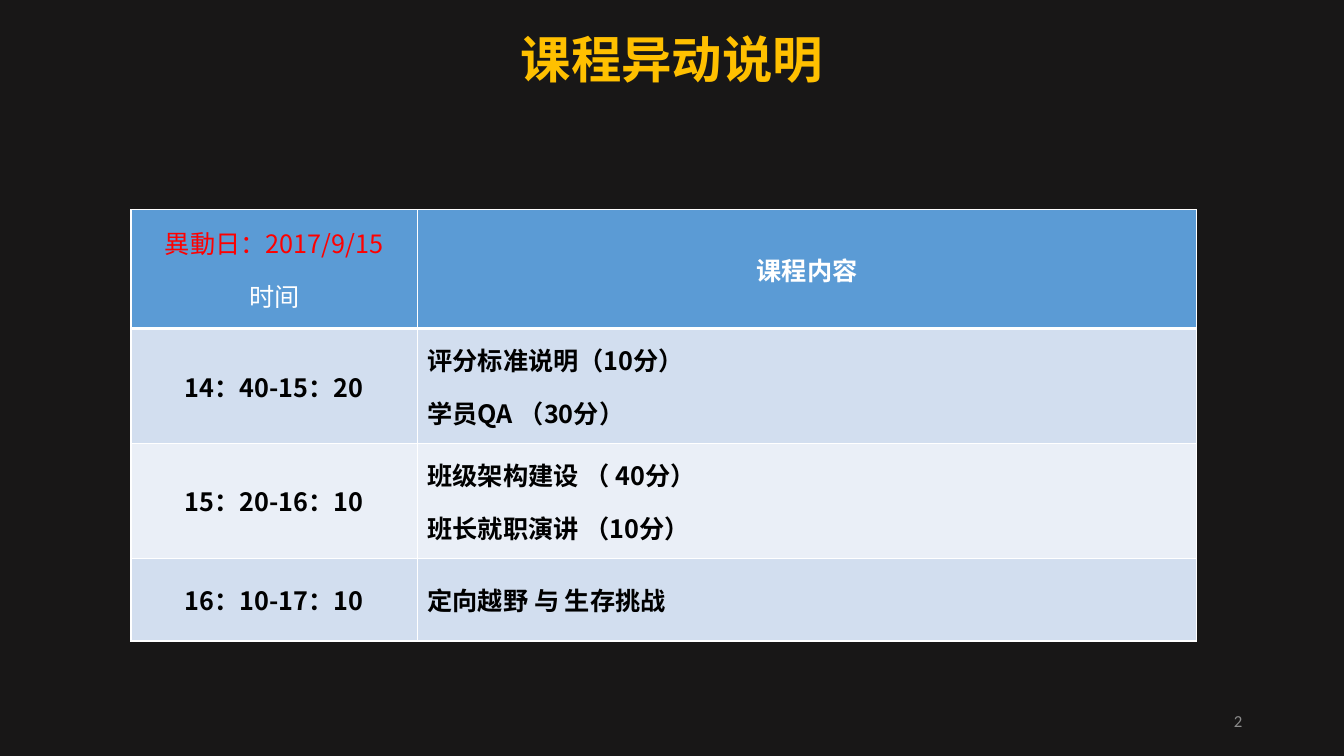
from dataclasses import dataclass
from lxml.etree import SubElement
from pptx import Presentation
from pptx.dml.color import RGBColor
from pptx.enum.text import MSO_ANCHOR as Anchor, PP_ALIGN as Align
from pptx.oxml.ns import qn
from pptx.util import Inches, Pt


@dataclass(frozen=True)
class Theme:
    background: str = "181717"
    gold: str = "FFC000"
    red: str = "FF0000"
    white: str = "FFFFFF"
    black: str = "000000"
    gray: str = "8C8C8C"
    header: str = "5B9BD5"
    bands: tuple = ("D2DEEF", "EAEFF7")
    font: str = "Noto Sans CJK SC"
    number_font: str = "Calibri"
    title_size: int = 36
    table_size: int = 18
    number_size: int = 12


theme = Theme()


def add_run(paragraph, text, size, color, bold, font=theme.font):
    run = paragraph.add_run()
    run.text = text
    run.font.size = Pt(size)
    run.font.bold = bold
    run.font.color.rgb = RGBColor.from_string(color)
    run.font.name = font
    SubElement(run.font._element, qn("a:ea"), typeface=font)


def add_border(cell, side, width):
    line = SubElement(cell._tc.get_or_add_tcPr(), qn(f"a:ln{side}"), w=str(Pt(width)))
    SubElement(SubElement(line, qn("a:solidFill")), qn("a:srgbClr"), val=theme.white)


presentation = Presentation()
presentation.slide_width = Inches(13.33)
presentation.slide_height = Inches(7.5)
slide = presentation.slides.add_slide(presentation.slide_layouts[6])
slide.background.fill.solid()
slide.background.fill.fore_color.rgb = RGBColor.from_string(theme.background)

labels = [
    ("2", (9.42, 6.95, 3, 0.4), Align.RIGHT, theme.number_size, theme.gray, False, theme.number_font),
    ("课程异动说明", (0, 0.22, 13.33, 0.71), Align.CENTER, theme.title_size, theme.gold, True, theme.font),
]
for text, box, alignment, size, color, bold, font in labels:
    shape = slide.shapes.add_textbox(*map(Inches, box))
    shape.text_frame.word_wrap = True
    shape.text_frame.vertical_anchor = Anchor.MIDDLE
    paragraph = shape.text_frame.paragraphs[0]
    paragraph.alignment = alignment
    add_run(paragraph, text, size, color, bold, font)

schedule = [
    (["異動日：2017/9/15", "时间"], ["课程内容"]),
    (["14：40-15：20"], ["评分标准说明（10分）", "学员QA （30分）"]),
    (["15：20-16：10"], ["班级架构建设 （ 40分）", "班长就职演讲 （10分）"]),
    (["16：10-17：10"], ["定向越野 与 生存挑战"]),
]
column_widths = [2.84, 7.73]
row_heights = [1.18, 1.14, 1.14, 0.82]
table = slide.shapes.add_table(
    len(row_heights), len(column_widths), Inches(1.3), Inches(2.08),
    Inches(sum(column_widths)), Inches(sum(row_heights)),
).table
for column, width in zip(table.columns, column_widths):
    column.width = Inches(width)
for row, height in zip(table.rows, row_heights):
    row.height = Inches(height)

for row_index, entries in enumerate(schedule):
    is_header = row_index == 0
    for column_index, lines in enumerate(entries):
        cell = table.cell(row_index, column_index)
        cell.vertical_anchor = Anchor.MIDDLE
        for side in "LRTB":
            under_header = (row_index, side) in [(0, "B"), (1, "T")]
            add_border(cell, side, 3 if under_header else 1)
        cell.fill.solid()
        fill = theme.header if is_header else theme.bands[(row_index - 1) % 2]
        cell.fill.fore_color.rgb = RGBColor.from_string(fill)
        for line_index, text in enumerate(lines):
            frame = cell.text_frame
            paragraph = frame.add_paragraph() if line_index else frame.paragraphs[0]
            paragraph.alignment = Align.CENTER if is_header or column_index == 0 else Align.LEFT
            paragraph.space_before = paragraph.space_after = Pt(6)
            color = theme.white if is_header else theme.black
            if text.startswith("異動日"):
                color = theme.red
            bold = not is_header or column_index == 1
            add_run(paragraph, text, theme.table_size, color, bold)

presentation.save("out.pptx")
